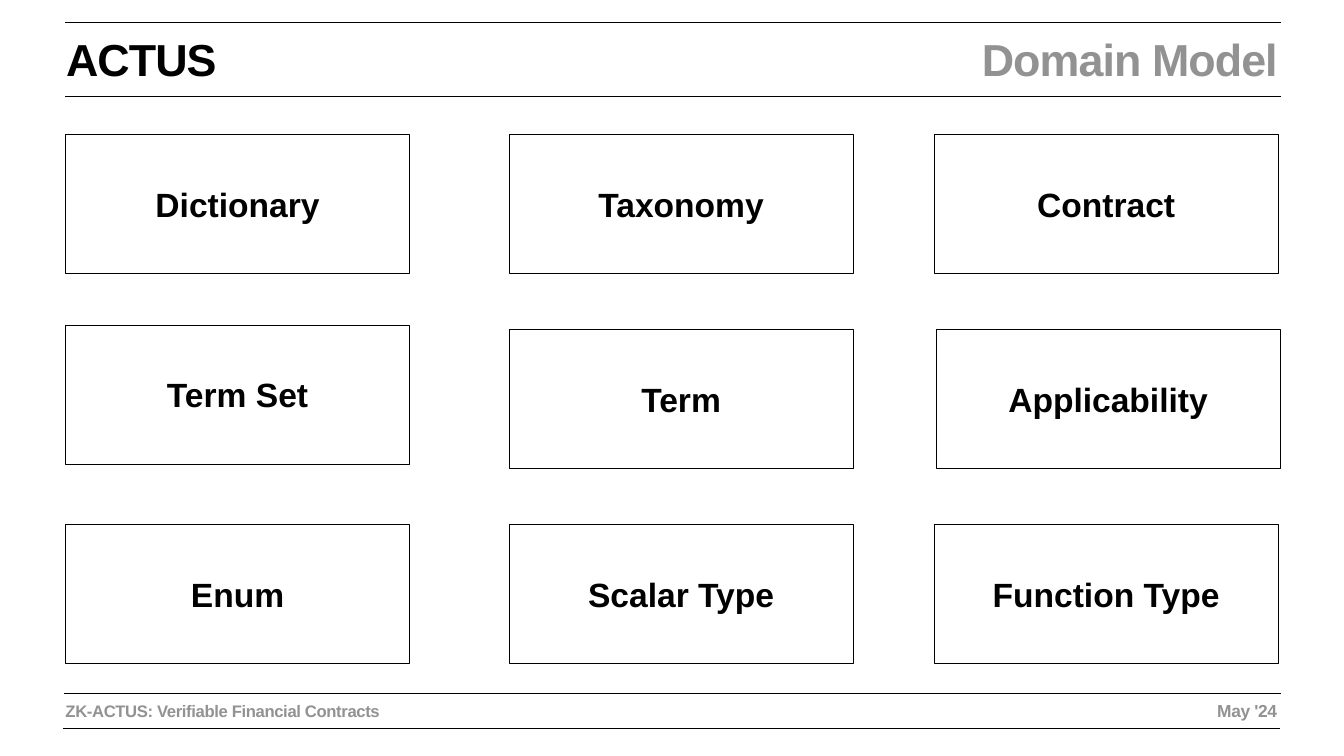
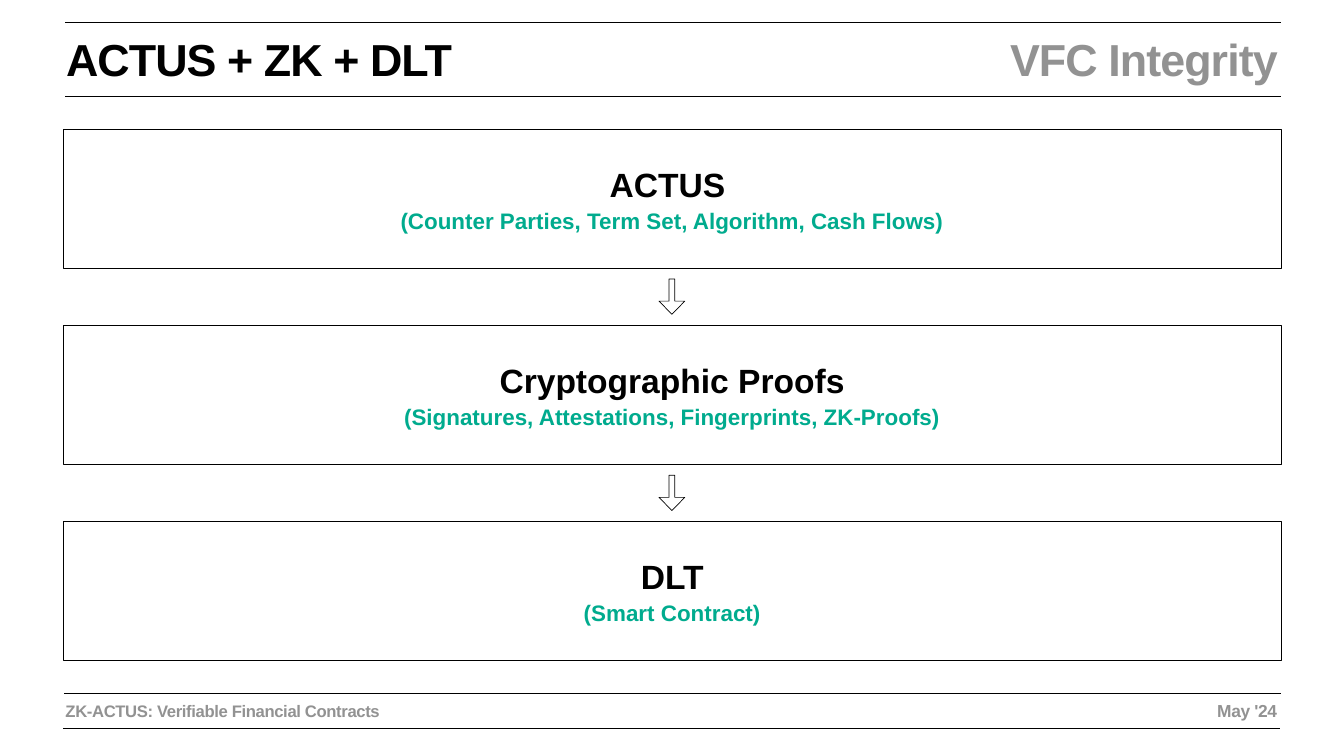
"""Build two slides: the ACTUS domain model and the VFC integrity chain."""
from dataclasses import dataclass
from typing import Any

from lxml.etree import SubElement
from pptx import Presentation
from pptx.dml.color import RGBColor
from pptx.enum.shapes import MSO_CONNECTOR, MSO_SHAPE
from pptx.enum.text import MSO_ANCHOR, PP_ALIGN
from pptx.oxml.ns import qn
from pptx.presentation import Presentation as Deck
from pptx.shapes.autoshape import Shape
from pptx.slide import Slide
from pptx.text.text import TextFrame
from pptx.util import Cm, Pt

BLACK = RGBColor(0x00, 0x00, 0x00)
WHITE = RGBColor(0xFF, 0xFF, 0xFF)
GREY = RGBColor(0x92, 0x92, 0x92)
GREEN = RGBColor(0x00, 0xAB, 0x8E)

INSET = Cm(0.15)
FRAME = {
    "word_wrap": True,
    "margin_left": INSET,
    "margin_top": INSET,
    "margin_right": INSET,
    "margin_bottom": INSET,
}
BOX_FRAME = FRAME | {"vertical_anchor": MSO_ANCHOR.MIDDLE}
BOX_PARAGRAPH = {"alignment": PP_ALIGN.CENTER, "space_before": Pt(4)}
FONT = {"name": "Arial", "bold": True}

BOX_H = 7.01
GRID_W, GRID_TOP, GRID_PITCH = 17.35, 6.78, 9.83
GRID_LEFTS = (3.3, 25.65, 47.07)
STACK_LEFT, STACK_W, STACK_TOP, STACK_PITCH = 3.18, 61.39, 6.5, 9.89
ARROW_LEFT, ARROW_W, ARROW_H = 32.97, 1.78, 1.3


@dataclass(frozen=True)
class Rule:
    """A horizontal line, in centimetres."""
    x1: float
    x2: float
    y: float


@dataclass(frozen=True)
class Label:
    """A text box in a band, in centimetres and points."""
    text: str
    left: float
    top: float
    width: float
    height: float
    size: float
    color: RGBColor
    spacing: int
    align: PP_ALIGN = PP_ALIGN.LEFT


@dataclass(frozen=True)
class Box:
    """A framed concept with an optional detail line."""
    name: str
    detail: str = ""
    dx: float = 0
    dy: float = 0


HEADER_RULES = [Rule(3.28, 64.57, 4.88), Rule(3.28, 64.57, 1.14)]
FOOTER_RULES = [Rule(3.2, 64.49, 36.73), Rule(3.25, 64.54, 34.93)]
FOOTER_LABELS = [
    Label("ZK-ACTUS: Verifiable Financial Contracts",
          3.15, 35.15, 28.04, 1.32, 23.8, GREY, -50),
    Label("May '24", 34.72, 35.15, 29.79, 1.35, 24.8, GREY, -50, PP_ALIGN.RIGHT),
]

DOMAIN_MODEL = [
    [Box("Dictionary"), Box("Taxonomy"), Box("Contract")],
    [Box("Term Set", dy=-0.23), Box("Term"), Box("Applicability", dx=0.1)],
    [Box("Enum"), Box("Scalar Type"), Box("Function Type")],
]
INTEGRITY_CHAIN = [
    Box("ACTUS ", "(Counter Parties, Term Set, Algorithm, Cash Flows)"),
    Box("Cryptographic Proofs", "(Signatures, Attestations, Fingerprints, ZK-Proofs)"),
    Box("DLT", "(Smart Contract)"),
]


def apply(target: Any, values: dict[str, Any]) -> None:
    """Set each named attribute on the target."""
    for name, value in values.items():
        setattr(target, name, value)


def write(tf: TextFrame, index: int, text: str, size: float, color: RGBColor,
          layout: dict[str, Any], spacing: int = 0) -> None:
    """Write one formatted paragraph."""
    p = tf.add_paragraph() if index else tf.paragraphs[0]
    apply(p, layout)
    r = p.add_run()
    r.text = text
    apply(r.font, FONT | {"size": Pt(size)})
    r.font.color.rgb = color
    if spacing:
        r._r.get_or_add_rPr().set("spc", str(spacing))


def add_band(s: Slide, rules: list[Rule], labels: list[Label]) -> None:
    """Group the rules and labels of a header or footer."""
    shapes = s.shapes.add_group_shape().shapes
    for rule in rules:
        line = shapes.add_connector(MSO_CONNECTOR.STRAIGHT, Cm(rule.x1), Cm(rule.y),
                                    Cm(rule.x2), Cm(rule.y))
        line.line.color.rgb = BLACK
        line.line.width = Pt(1)
        SubElement(line._element.spPr, qn("a:effectLst"))
    for label in labels:
        sp = shapes.add_textbox(Cm(label.left), Cm(label.top),
                                Cm(label.width), Cm(label.height))
        apply(sp.text_frame, FRAME)
        write(sp.text_frame, 0, label.text, label.size, label.color,
              {"alignment": label.align}, label.spacing)


def add_outlined(s: Slide, kind: MSO_SHAPE, left: float, top: float,
                 width: float, height: float) -> Shape:
    """Add a white shape with a thin black outline."""
    sp = s.shapes.add_shape(kind, Cm(left), Cm(top), Cm(width), Cm(height))
    sp.shadow.inherit = False
    sp.fill.solid()
    sp.fill.fore_color.rgb = WHITE
    sp.line.color.rgb = BLACK
    sp.line.width = Pt(1)
    return sp


def add_box(s: Slide, box: Box, left: float, top: float, width: float) -> None:
    """Draw a concept box with its name and detail."""
    sp = add_outlined(s, MSO_SHAPE.RECTANGLE, left + box.dx, top + box.dy, width, BOX_H)
    tf = sp.text_frame
    apply(tf, BOX_FRAME)
    write(tf, 0, box.name, 48, BLACK, BOX_PARAGRAPH)
    if box.detail:
        write(tf, 1, box.detail, 32, GREEN, BOX_PARAGRAPH)


def add_down_arrow(s: Slide, middle: float) -> None:
    """Draw a downward block arrow centred at the given height."""
    sp = add_outlined(s, MSO_SHAPE.RIGHT_ARROW, ARROW_LEFT, middle - ARROW_H / 2,
                      ARROW_W, ARROW_H)
    sp.rotation = 90
    sp.adjustments[0] = 0.22
    sp.adjustments[1] = 0.51


def add_slide(prs: Deck, title: str, topic: str) -> Slide:
    """Add a blank slide with its header and footer bands."""
    s = prs.slides.add_slide(prs.slide_layouts[6])
    s.background.fill.solid()
    s.background.fill.fore_color.rgb = WHITE
    add_band(s, HEADER_RULES, [
        Label(title, 3.18, 1.45, 28.04, 3.1, 64, BLACK, -130),
        Label(topic, 22.2, 1.45, 42.34, 3.1, 64, GREY, -130, PP_ALIGN.RIGHT),
    ])
    add_band(s, FOOTER_RULES, FOOTER_LABELS)
    return s


def add_domain_model(prs: Deck) -> None:
    """Lay out the domain concepts in a three by three grid."""
    s = add_slide(prs, "ACTUS", "Domain Model")
    for row, boxes in enumerate(DOMAIN_MODEL):
        for left, box in zip(GRID_LEFTS, boxes):
            add_box(s, box, left, GRID_TOP + row * GRID_PITCH, GRID_W)


def add_integrity_chain(prs: Deck) -> None:
    """Stack the integrity layers with an arrow in each gap."""
    s = add_slide(prs, "ACTUS + ZK + DLT", "VFC Integrity")
    for i, box in enumerate(INTEGRITY_CHAIN):
        top = STACK_TOP + i * STACK_PITCH
        add_box(s, box, STACK_LEFT, top, STACK_W)
        if i:
            add_down_arrow(s, top - (STACK_PITCH - BOX_H) / 2)


def main() -> None:
    """Build and save the deck."""
    prs = Presentation()
    apply(prs, {"slide_width": Cm(67.73), "slide_height": Cm(38.1)})
    add_domain_model(prs)
    add_integrity_chain(prs)
    prs.save("out.pptx")


if __name__ == "__main__":
    main()
